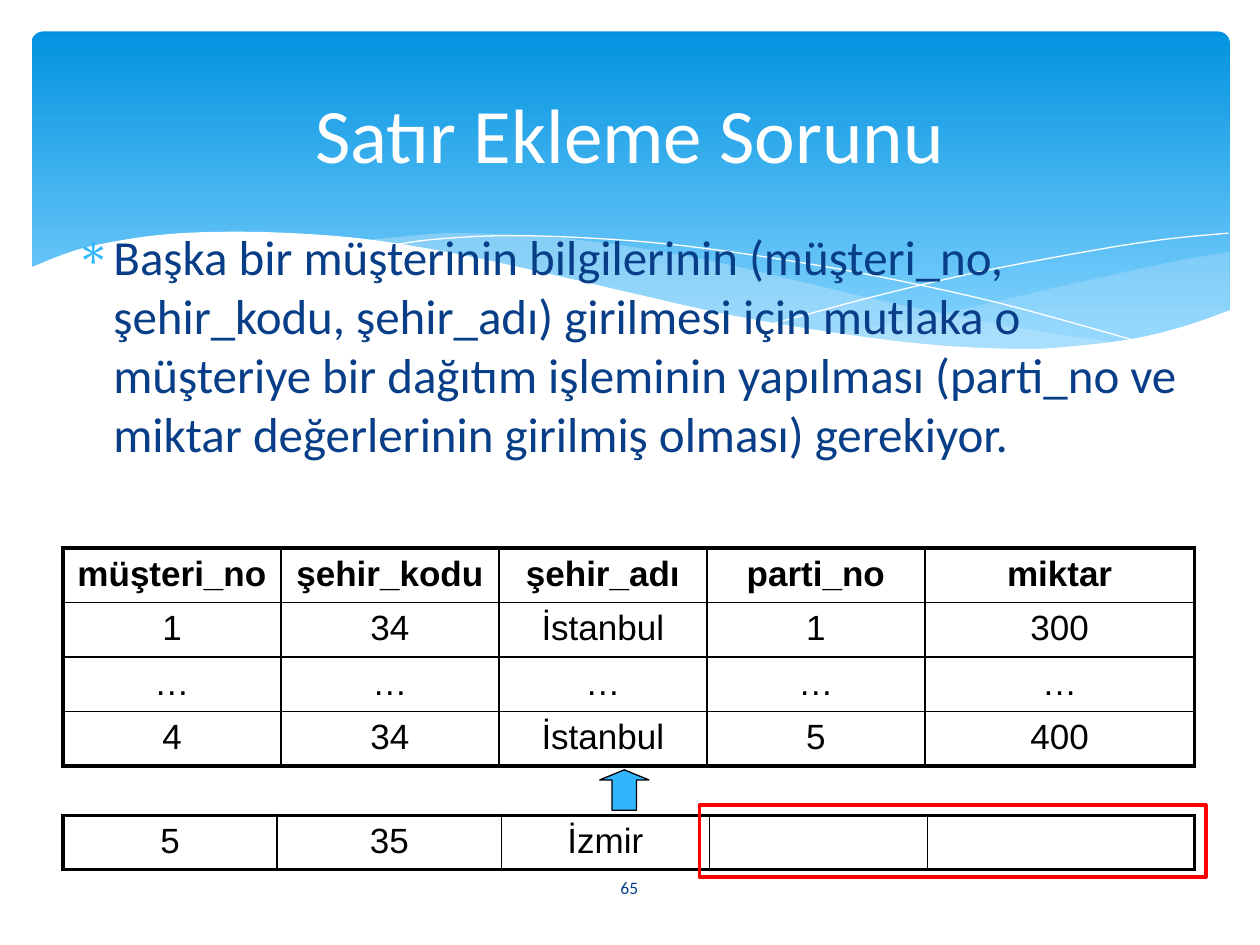
import pptx
import pptx.util
import pptx.dml.color
import pptx.enum.shapes
import pptx.enum.text
import pptx.oxml
import pptx.oxml.ns
from pptx.util import Inches

COLORS = {
    "sky": "0293E0", "pale sky": "83D3FE", "mist": "C6E7FC", "white": "FFFFFF",
    "navy": "073E87", "accent": "31B6FD", "black": "000000", "red": "FF0000",
}
BODY_TEXT = ("Başka bir müşterinin bilgilerinin (müşteri_no, şehir_kodu, şehir_adı) "
             "girilmesi için mutlaka o müşteriye bir dağıtım işleminin yapılması "
             "(parti_no ve miktar değerlerinin girilmiş olması) gerekiyor.")
DELIVERIES = [
    ["müşteri_no", "şehir_kodu", "şehir_adı", "parti_no", "miktar"],
    ["1", "34", "İstanbul", "1", "300"],
    ["…"] * 5,
    ["4", "34", "İstanbul", "5", "400"],
]
NEW_CUSTOMER = [["5", "35", "İzmir", "", ""]]

# Each wave is a chain of smooth curves, given by key points in inches
RIGHT_WAVE = [
    [(9.76, 2), (9.35, 2.07), (8.61, 2.23), (7.79, 2.42), (7.06, 2.57), (6.61, 2.65)],
    [(6.61, 2.65), (7.19, 2.72), (7.69, 2.77), (8.14, 2.78), (8.63, 2.75),
     (9.05, 2.69), (9.42, 2.59), (9.76, 2.47)],
]
MIDDLE_WAVE = [
    [(8.93, 2.73), (8.07, 2.6), (7.06, 2.4), (6.29, 2.22), (5.69, 2.08), (5.14, 1.98),
     (4.65, 1.91), (4.2, 1.87), (3.61, 1.85), (3.28, 1.87), (2.86, 1.91)],
    [(2.86, 1.91), (3.42, 1.99), (4.04, 2.11), (4.49, 2.22), (5.3, 2.4), (6.01, 2.55),
     (6.8, 2.68), (7.48, 2.76), (8.07, 2.78), (8.48, 2.77), (8.93, 2.73)],
]
FALLING_LINE = [[(3.09, 1.95), (3.44, 1.9), (4.01, 1.87), (4.69, 1.89), (5.33, 1.94),
                 (6.08, 2.04), (6.95, 2.19), (7.95, 2.41), (9.07, 2.72)]]
RISING_LINE = [[(6.13, 2.57), (6.95, 2.35), (7.76, 2.16), (8.66, 1.99), (9.24, 1.9),
                (9.75, 1.85)]]
FRONT_WAVE = [
    [(9.77, 2.46), (9.4, 2.59), (8.99, 2.69), (8.5, 2.75), (8.09, 2.77), (7.44, 2.74),
     (6.68, 2.65), (5.79, 2.5), (5.03, 2.33), (4.47, 2.2), (3.65, 2.02), (2.92, 1.9),
     (2.3, 1.85), (1.77, 1.84), (1.32, 1.86), (0.95, 1.91), (0.59, 1.99), (0.23, 2.13)],
    [(0.23, 3.29), (9.77, 3.29)],
]


def rgb(name):
    return pptx.dml.color.RGBColor.from_string(COLORS[name])


def apply(target, values):
    for name, value in values.items():
        setattr(target, name, value)


def place(shape, box):
    apply(shape, dict(zip(("left", "top", "width", "height"), map(Inches, box))))


def font_values(size, color, name="Calibri", bold=False):
    return {"size": pptx.util.Pt(size), "name": name, "bold": bold}, rgb(color)


def format_text(para, text, size, color, **options):
    para.text = text
    values, tint = font_values(size, color, **options)
    apply(para.font, values)
    para.font.color.rgb = tint


def smooth(keys, steps=5):
    """Catmull-Rom curve through the key points."""
    ends = [keys[0], *keys, keys[-1]]
    points = [keys[0]]
    for a, b, c, d in zip(ends, ends[1:], ends[2:], ends[3:]):
        for step in range(1, steps + 1):
            t = step / steps
            points.append(tuple(
                0.5 * (2 * q + (r - p) * t + (2 * p - 5 * q + 4 * r - s) * t ** 2
                       + (3 * q - p - 3 * r + s) * t ** 3)
                for p, q, r, s in zip(a, b, c, d)))
    return points


def style_shape(shape, fill=None, line=None, width=0, opacity=None):
    shape.shadow.inherit = False
    if fill:
        shape.fill.solid()
        shape.fill.fore_color.rgb = rgb(fill)
    else:
        shape.fill.background()
    if opacity:
        tint = shape.fill._xPr.find(".//" + pptx.oxml.ns.qn("a:srgbClr"))
        tint.append(pptx.oxml.parse_xml(
            f'<a:alpha {pptx.oxml.ns.nsdecls("a")} val="{opacity * 1000}"/>'))
    if line:
        shape.line.color.rgb = rgb(line)
        shape.line.width = pptx.util.Pt(width)
    else:
        shape.line.fill.background()


def add_wave(page, curves, **style):
    points = [(Inches(x), Inches(y)) for keys in curves for x, y in smooth(keys)]
    builder = page.shapes.build_freeform(*points[0])
    builder.add_line_segments(points[1:], close="fill" in style)
    style_shape(builder.convert_to_shape(), **style)


def add_preset(page, kind, box, adjustments=(), **style):
    shape = page.shapes.add_shape(kind, *map(Inches, box))
    for index, value in enumerate(adjustments):
        shape.adjustments[index] = value
    style_shape(shape, **style)
    return shape


def add_banner(page, box):
    banner = add_preset(page, pptx.enum.shapes.MSO_SHAPE.ROUNDED_RECTANGLE, box, [0.034])
    banner.fill.gradient()
    banner.fill.gradient_angle = 270
    stops = zip(banner.fill.gradient_stops, (0, 0.9), ("sky", "pale sky"))
    for stop, position, color in stops:
        stop.position = position
        stop.color.rgb = rgb(color)
    add_wave(page, RIGHT_WAVE, fill="mist", opacity=29)
    add_wave(page, MIDDLE_WAVE, fill="mist", opacity=40)
    for curve in (FALLING_LINE, RISING_LINE):
        add_wave(page, curve, line="white")
    add_wave(page, FRONT_WAVE, fill="white")


def fill_placeholder(shape, box, anchor):
    """Moves a placeholder to its box, in front of the banner."""
    place(shape, box)
    shape.element.getparent().append(shape.element)
    apply(shape.text_frame, {"word_wrap": True, "vertical_anchor": anchor,
                             "auto_size": pptx.enum.text.MSO_AUTO_SIZE.NONE})
    return shape.text_frame.paragraphs[0]


def add_body(page, box):
    para = fill_placeholder(page.placeholders[1], box, pptx.enum.text.MSO_ANCHOR.TOP)
    settings = para._p.get_or_add_pPr()
    settings.set("marL", str(Inches(0.3)))
    settings.set("indent", str(Inches(-0.3)))
    for bullet in (f'buClr {{}}><a:srgbClr val="{COLORS["accent"]}"/></a:buClr>',
                   'buFont {} typeface="Symbol"/>', 'buChar {} char="∗"/>'):
        settings.append(pptx.oxml.parse_xml(
            "<a:" + bullet.format(pptx.oxml.ns.nsdecls("a"))))
    para.space_before = pptx.util.Pt(0)
    format_text(para, BODY_TEXT, 28, "navy")


def add_title(page, box):
    para = fill_placeholder(page.shapes.title, box, pptx.enum.text.MSO_ANCHOR.MIDDLE)
    para.alignment = pptx.enum.text.PP_ALIGN.CENTER
    format_text(para, "Satır Ekleme Sorunu", 44, "white")


def add_page_number(page, box):
    frame = page.shapes.add_textbox(*map(Inches, box)).text_frame
    apply(frame, {"word_wrap": True, "vertical_anchor": pptx.enum.text.MSO_ANCHOR.MIDDLE})
    frame.paragraphs[0].alignment = pptx.enum.text.PP_ALIGN.CENTER
    format_text(frame.paragraphs[0], "65", 10, "navy")


def set_borders(cell, outer_sides):
    for side in "LRTB":
        width = pptx.util.Pt(2.25 if side in outer_sides else 1)
        cell._tc.get_or_add_tcPr().append(pptx.oxml.parse_xml(
            f'<a:ln{side} {pptx.oxml.ns.nsdecls("a")} w="{width}"><a:solidFill>'
            f'<a:srgbClr val="{COLORS["black"]}"/></a:solidFill></a:ln{side}>'))


def add_grid(page, box, widths, rows, header=False):
    table = page.shapes.add_table(len(rows), len(widths), *map(Inches, box)).table
    apply(table, {"first_row": False, "horz_banding": False})
    for column, width in zip(table.columns, widths):
        column.width = Inches(width)
    for r, values in enumerate(rows):
        for c, value in enumerate(values):
            cell = table.cell(r, c)
            edges = {"L": c == 0, "R": c == len(widths) - 1,
                     "T": r == 0, "B": r == len(rows) - 1}
            set_borders(cell, [side for side, outer in edges.items() if outer])
            cell.fill.background()
            para = cell.text_frame.paragraphs[0]
            para.alignment = pptx.enum.text.PP_ALIGN.CENTER
            format_text(para, value, 20, "black", name="Arial", bold=header and r == 0)


def main():
    deck = pptx.Presentation()
    apply(deck, {"slide_width": Inches(10), "slide_height": Inches(7.5)})
    page = deck.slides.add_slide(deck.slide_layouts[1])

    # Background and text
    add_banner(page, (0.25, 0.25, 9.51, 2.7))
    add_page_number(page, (4.36, 6.84, 1.27, 0.4))
    add_body(page, (0.5, 1.75, 9, 2.55))
    add_title(page, (0.5, 0.37, 9, 1.37))

    # Existing rows, and the incomplete row to insert
    add_grid(page, (0.5, 4.35, 8.99, 1.73), (1.73, 1.73, 1.65, 1.73, 2.14),
             DELIVERIES, header=True)
    add_grid(page, (0.5, 6.47, 8.99, 0.43), (1.7, 1.78, 1.65, 1.73, 2.12), NEW_CUSTOMER)
    add_preset(page, pptx.enum.shapes.MSO_SHAPE.UP_ARROW, (4.76, 6.11, 0.39, 0.32),
               [0.5, 0.25], fill="accent", line="black", width=0.75)
    add_preset(page, pptx.enum.shapes.MSO_SHAPE.RECTANGLE, (5.55, 6.39, 4.02, 0.57),
               line="red", width=2)
    deck.save("out.pptx")


if __name__ == "__main__":
    main()
